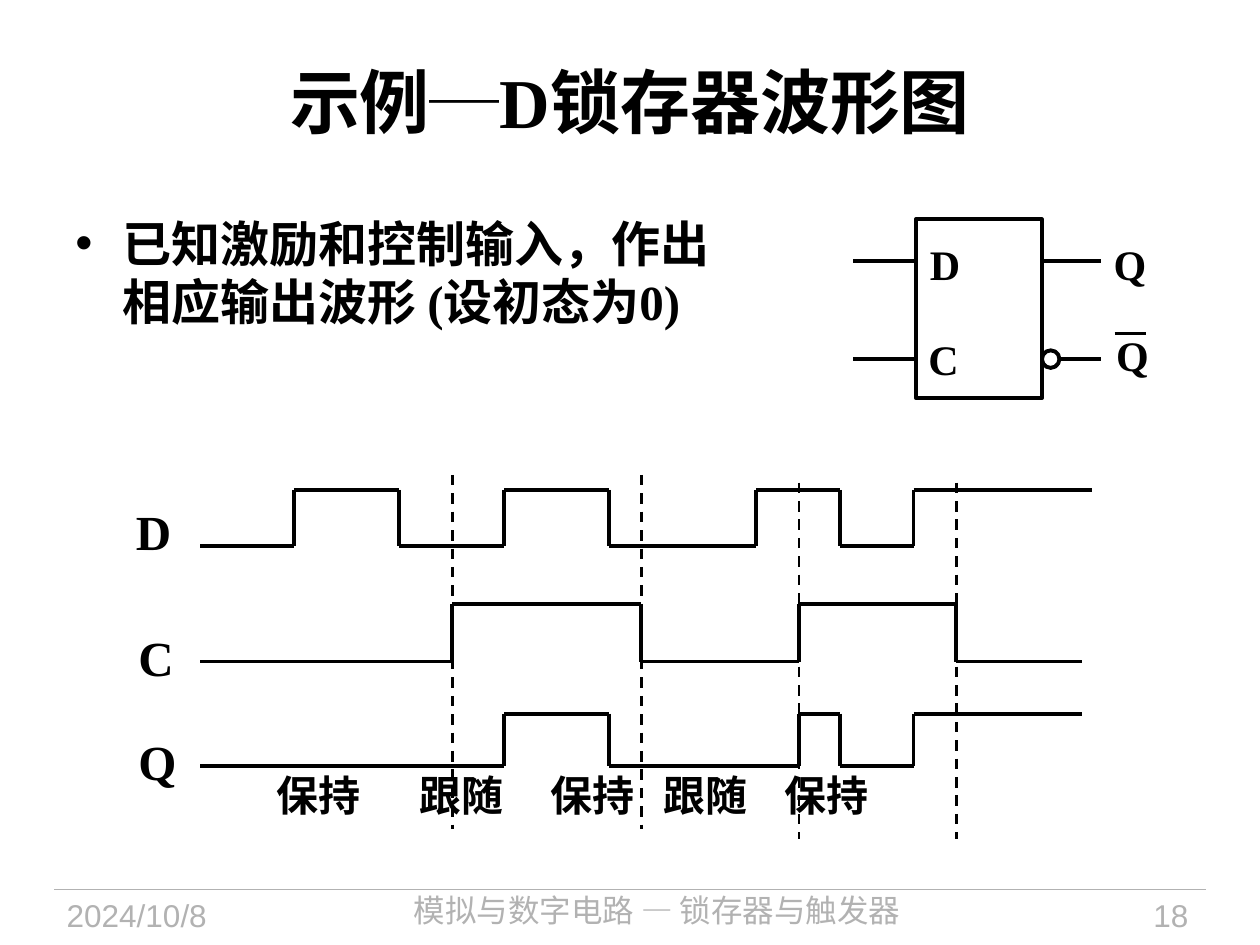
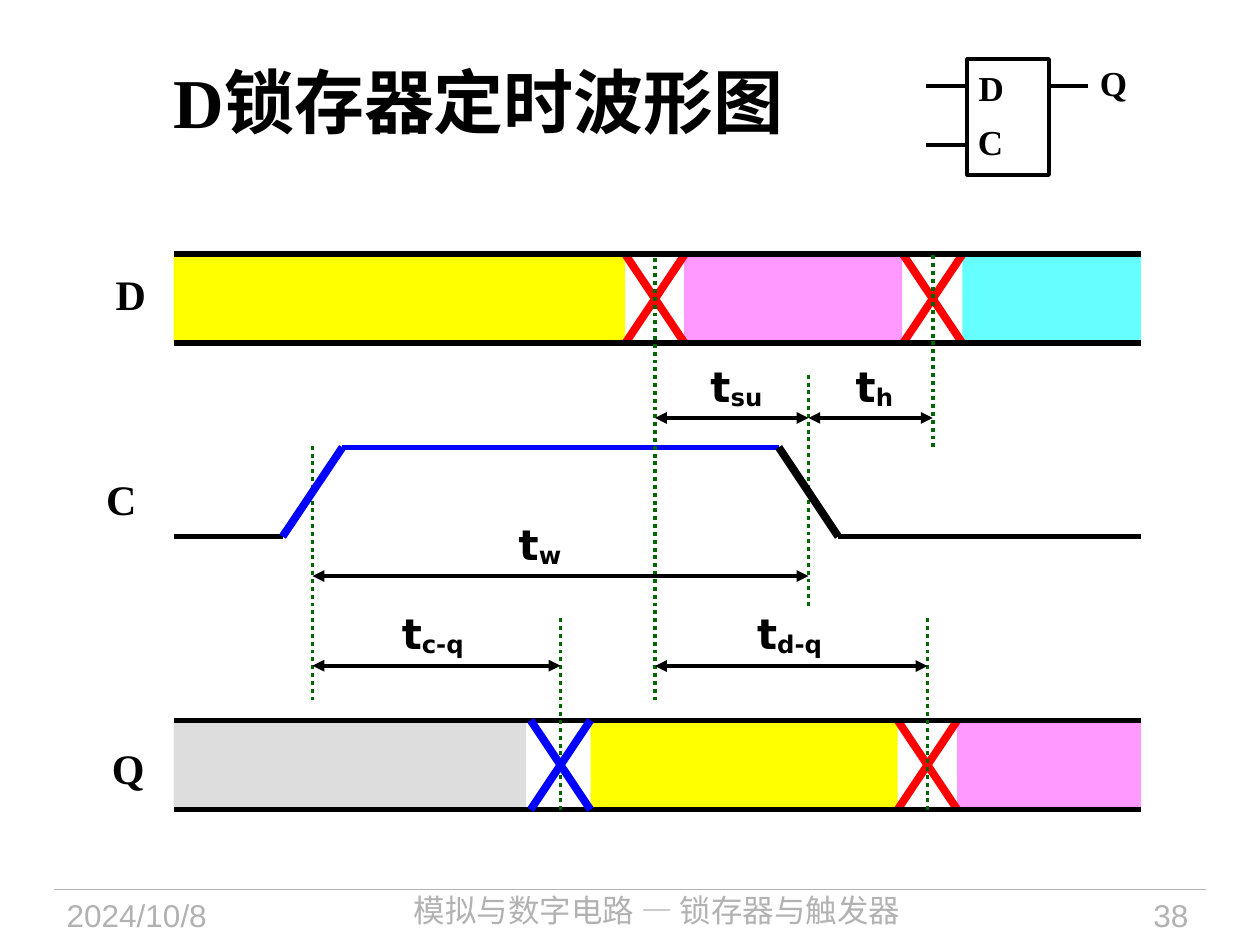
from dataclasses import dataclass
from itertools import pairwise

from lxml.etree import SubElement
from pptx import Presentation
from pptx.dml.color import RGBColor
from pptx.enum.dml import MSO_LINE as Dash
from pptx.enum.shapes import MSO_CONNECTOR as Conn, MSO_SHAPE as Kind
from pptx.enum.text import MSO_ANCHOR as Anchor, PP_ALIGN as Align
from pptx.oxml.ns import qn
from pptx.slide import Slide
from pptx.util import Pt

BLACK, GREY, WHITE = "000000", "B2B2B2", "FFFFFF"
RED, BLUE, GREEN = "FF0000", "0000FF", "006600"
YELLOW, PINK, CYAN, SILVER = "FFFF00", "FF99FF", "66FFFF", "DDDDDD"
TIMES, ARIAL, DEJAVU, NOTO = ("Times New Roman", "Arial", "DejaVu Sans",
                              "Noto Sans CJK SC")


@dataclass
class Tag:
    """A piece of text; sub is set as a subscript after it."""
    text: str
    x: float
    y: float
    w: float = 34
    h: float = 36
    size: float = 24
    sub: str = ""
    font: str = TIMES
    color: str = BLACK
    bold: bool = True
    align: Align = Align.LEFT
    wrap: bool = False
    anchor: Anchor = Anchor.TOP
    top: float = 3.6
    left: float = 0
    first: float = 0
    bullet: str = ""
    pitch: float = 0


@dataclass
class Wave:
    """A two-level signal that starts low and flips at each inner x."""
    low: float
    high: float
    xs: list[float]


@dataclass
class Gate:
    x: float
    y: float
    w: float
    h: float
    pins: tuple[float, float]
    wire: float


@dataclass
class Bus:
    y: float
    blocks: list[tuple[float, float, str]]
    reds: list[float]


@dataclass
class Span:
    x1: float
    x2: float
    y: float
    sub: str
    tag_x: float
    tag_y: float


def paint(value: str) -> RGBColor:
    return RGBColor.from_string(value)


def add_line(slide: Slide, x1: float, y1: float, x2: float, y2: float,
             color: str = BLACK, width: float = 2.25,
             dash: Dash | None = None, heads: bool = False) -> None:
    conn = slide.shapes.add_connector(Conn.STRAIGHT, Pt(x1), Pt(y1),
                                      Pt(x2), Pt(y2))
    conn.line.color.rgb = paint(color)
    conn.line.width = Pt(width)
    if dash:
        conn.line.dash_style = dash
    props = conn._element.spPr
    if heads:
        for end in ("a:headEnd", "a:tailEnd"):
            SubElement(props.find(qn("a:ln")), qn(end), type="triangle")
    SubElement(props, qn("a:effectLst"))


def add_box(slide: Slide, x: float, y: float, w: float, h: float,
            fill: str = "", edge: bool = False,
            kind: Kind = Kind.RECTANGLE) -> None:
    box = slide.shapes.add_shape(kind, Pt(x), Pt(y), Pt(w), Pt(h))
    box.shadow.inherit = False
    if fill:
        box.fill.solid()
        box.fill.fore_color.rgb = paint(fill)
    else:
        box.fill.background()
    if edge:
        box.line.color.rgb = paint(BLACK)
        box.line.width = Pt(2.25)
    else:
        box.line.fill.background()


def add_tag(slide: Slide, tag: Tag) -> None:
    box = slide.shapes.add_textbox(Pt(tag.x), Pt(tag.y), Pt(tag.w), Pt(tag.h))
    frame = box.text_frame
    frame.word_wrap = tag.wrap
    frame.vertical_anchor = tag.anchor
    frame.margin_top = Pt(tag.top)
    para = frame.paragraphs[0]
    props = para._p.get_or_add_pPr()
    if tag.left or tag.first:
        props.set("marL", str(Pt(tag.left)))
        props.set("indent", str(Pt(tag.first)))
    if tag.bullet:
        SubElement(props, qn("a:buFont"), typeface=ARIAL)
        SubElement(props, qn("a:buChar"), char=tag.bullet)
    para.alignment = tag.align
    if tag.pitch:
        para.line_spacing = Pt(tag.pitch)
    for text in filter(None, (tag.text, tag.sub)):
        run = para.add_run()
        run.text = text
        font = run.font
        font.name, font.size, font.bold = tag.font, Pt(tag.size), tag.bold
        font.color.rgb = paint(tag.color)
        look = run._r.get_or_add_rPr()
        SubElement(look, qn("a:ea"), typeface=NOTO)
        if text == tag.sub:
            look.set("baseline", "-10000")


def add_frame(deck: Presentation, title: str, page: str,
              align: Align = Align.CENTER, first: float = 0) -> Slide:
    """Start a slide with its title, footer rule and footers."""
    slide = deck.slides.add_slide(deck.slide_layouts[6])
    add_line(slide, 31, 508.3, 689, 508.3, GREY, 0.75)
    feet = [("2024/10/8", 31, 135.4, ARIAL, Align.LEFT, 3.6),
            ("模拟与数字电路 — 锁存器与触发器", 172.8, 405.4, NOTO,
             Align.CENTER, 1),
            (page, 590.4, 95.8, ARIAL, Align.RIGHT, 3.6)]
    for text, x, w, font, side, top in feet:
        add_tag(slide, Tag(text, x, 508.3, w, 31.7, 18, font=font, color=GREY,
                           bold=False, align=side, wrap=True, top=top))
    add_tag(slide, Tag(title, 36, 12.2, 648, 90, 40, align=align, wrap=True,
                       anchor=Anchor.MIDDLE, first=first))
    return slide


def add_gate(slide: Slide, gate: Gate) -> None:
    """Draw the latch body, its two inputs and its Q output."""
    add_box(slide, gate.x, gate.y, gate.w, gate.h, edge=True)
    for y in gate.pins:
        add_line(slide, gate.x, y, gate.x - gate.wire, y)
    right = gate.x + gate.w
    add_line(slide, right, gate.pins[0], right + gate.wire * 0.94,
             gate.pins[0])


def add_wave(slide: Slide, wave: Wave) -> None:
    y, other = wave.low, wave.high
    for start, end in pairwise(wave.xs):
        add_line(slide, start, y, end, y)
        if end != wave.xs[-1]:
            add_line(slide, end, y, end, other)
        y, other = other, y


def add_cross(slide: Slide, mid: float, y: float, color: str) -> None:
    x1, x2, low = mid - 17.1, mid + 17.1, y + 51.1
    add_line(slide, x1, y, x2, low, color, 4.5)
    add_line(slide, x1, low, x2, y, color, 4.5)


def add_bus(slide: Slide, bus: Bus) -> None:
    for x1, x2, fill in bus.blocks:
        add_box(slide, x1, bus.y, x2 - x1, 51.1, fill)
    for mid in bus.reds:
        add_cross(slide, mid, bus.y, RED)
    for y in (bus.y, bus.y + 50.8):
        add_line(slide, 99.2, y, 652, y, width=3)


def add_span(slide: Slide, span: Span) -> None:
    add_line(slide, span.x1, span.y, span.x2, span.y, heads=True)
    add_tag(slide, Tag("t", span.tag_x, span.tag_y, 54, sub=span.sub,
                       font=DEJAVU))


def build_states(deck: Presentation) -> None:
    slide = add_frame(deck, "示例─D锁存器波形图", "18")
    add_tag(slide, Tag("已知激励和控制输入，作出相应输出波形 (设初态为0)",
                       36, 114.5, 397.4, 92.9, 28, wrap=True, top=8,
                       left=27, first=-27, bullet="•", pitch=33))
    rise, fall, rise2, fall2 = 258.5, 366.5, 456.5, 546.5
    waves = [
        Wave(311.8, 280, [114.5, 168, 228, 288, 348.2, 432, 480, 522, 624]),
        Wave(378, 345.4, [114.5, rise, fall, rise2, fall2, 618.3]),
        Wave(437.8, 407.8, [114.5, 288, 348.2, rise2, 480, 522, 618.3])]
    for wave in waves:
        add_wave(slide, wave)
    for x, top, end in [(rise, 271.4, 473.8), (fall, 271.4, 473.8),
                        (rise2, 275.8, 479.5), (fall2, 275.8, 479.5)]:
        add_line(slide, x, top, x, end, width=1.5, dash=Dash.DASH)
    for text, x, y in [("D", 70.6, 283), ("C", 72, 355), ("Q", 72, 414.7)]:
        add_tag(slide, Tag(text, x, y, 36, 41, 28))
    for text, x in [("保持", 151), ("跟随", 232.5), ("保持", 307.5),
                    ("跟随", 372), ("保持", 441.5)]:
        add_tag(slide, Tag(text, x, 436, 64, font=NOTO))

    add_gate(slide, Gate(523.4, 125.3, 72, 102.2, (149, 205.2), 36))
    add_line(slide, 602, 205.2, 629.3, 205.2)
    add_box(slide, 595.4, 200.2, 10, 10, WHITE, True, Kind.OVAL)
    for text, x, y in [("D", 524.2, 132.5), ("C", 523.4, 187.2),
                       ("Q", 629.3, 132.5), ("Q", 630.7, 184.7)]:
        add_tag(slide, Tag(text, x, y))
    add_line(slide, 637, 190.6, 655, 190.6)


def build_times(deck: Presentation) -> None:
    slide = add_frame(deck, "D锁存器定时波形图", "38", Align.LEFT, 56.2)
    setup, hold, rise, fall = 374.3, 533, 178.6, 462
    out_c, out_d, top, base = 320.3, 530, 145.2, 411.6
    add_bus(slide, Bus(top, [(99.2, 357.2, YELLOW), (391, 515.5, PINK),
                             (550, 652, CYAN)], [setup, hold]))
    add_bus(slide, Bus(base, [(99.2, 300.6, SILVER), (337.5, 513, YELLOW),
                              (547, 652, PINK)], [out_d]))

    low, high = 306.6, 255.6
    for x1, x2, y, color in [(99.2, 161.5, low, BLACK),
                             (195.7, 445, high, BLUE),
                             (479, 652, low, BLACK)]:
        add_line(slide, x1, y, x2, y, color, 3)
    for x, start, end in [(setup, 400.3, top), (hold, 255.6, top),
                          (fall, 346.3, 213.1), (rise, 400.3, 252.7),
                          (out_c, 463, 352), (out_d, 463, 352)]:
        add_line(slide, x, start, x, end, GREEN, dash=Dash.ROUND_DOT)
    add_line(slide, 445, high, 479, low, width=4.5)
    add_line(slide, 161.5, low, 195.7, high, BLUE, 4.5)
    add_cross(slide, out_c, base, BLUE)

    for span in [Span(setup, fall, 238.8, "su", 398.9, 202.3),
                 Span(fall, hold, 238.8, "h", 481.9, 202.3),
                 Span(rise, fall, 329.2, "w", 289.3, 292.6),
                 Span(rise, out_c, 380.4, "c-q", 222.5, 343.4),
                 Span(setup, out_d, 380.6, "d-q", 425.5, 343.4)]:
        add_span(slide, span)
    for text, x, y in [("D", 59, 149.8), ("C", 53.6, 267.1),
                       ("Q", 56.9, 420.5)]:
        add_tag(slide, Tag(text, x, y))

    add_gate(slide, Gate(552.8, 33.8, 46.6, 66.2, (49, 82.8), 23.6))
    for text, x, y in [("D", 552.2, 34.6), ("C", 551.7, 65.5),
                       ("Q", 621.4, 31.7)]:
        add_tag(slide, Tag(text, x, y, 30, 31, 20))


def main() -> None:
    deck = Presentation()
    deck.slide_width, deck.slide_height = Pt(720), Pt(540)
    build_states(deck)
    build_times(deck)
    deck.save("out.pptx")


if __name__ == "__main__":
    main()
